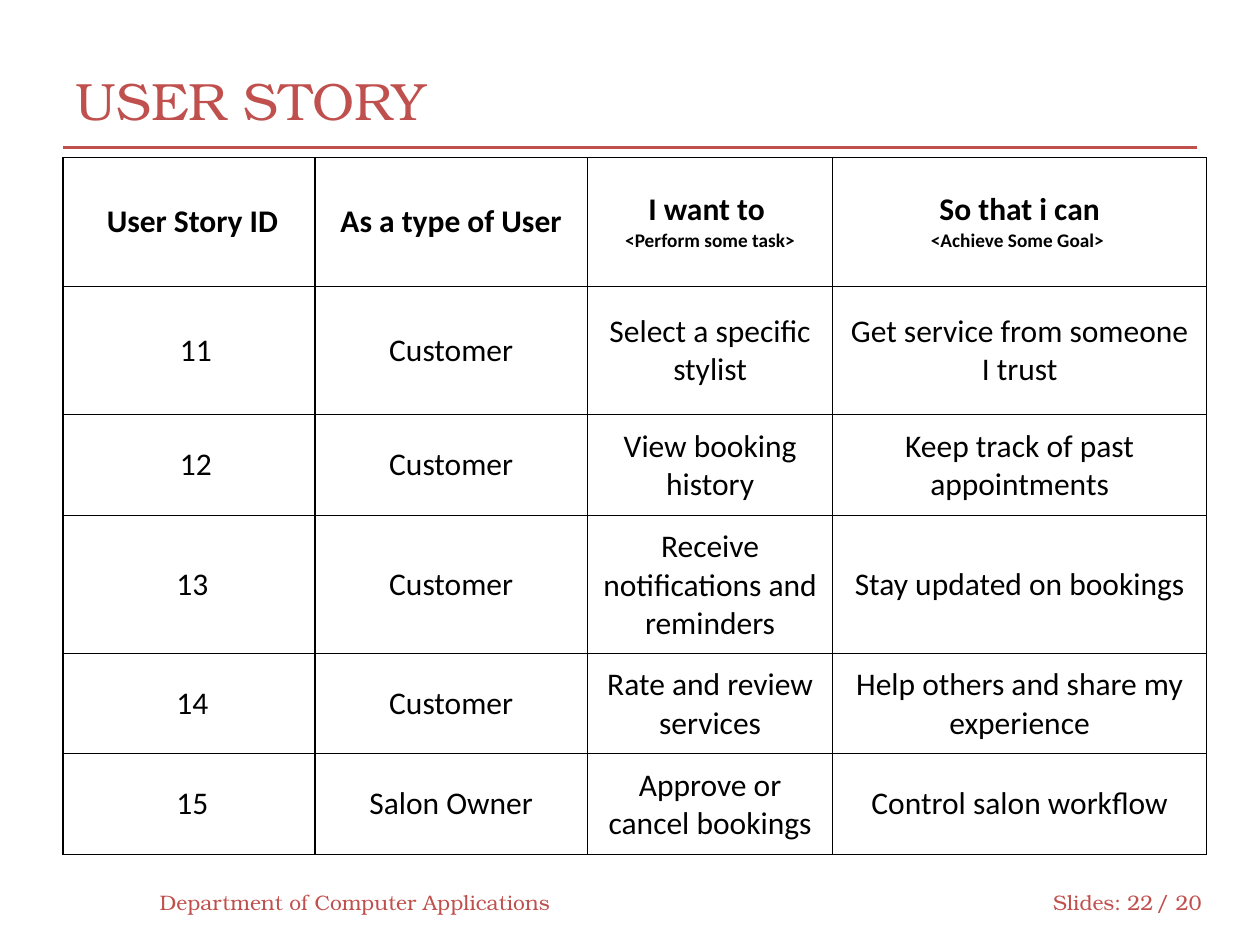
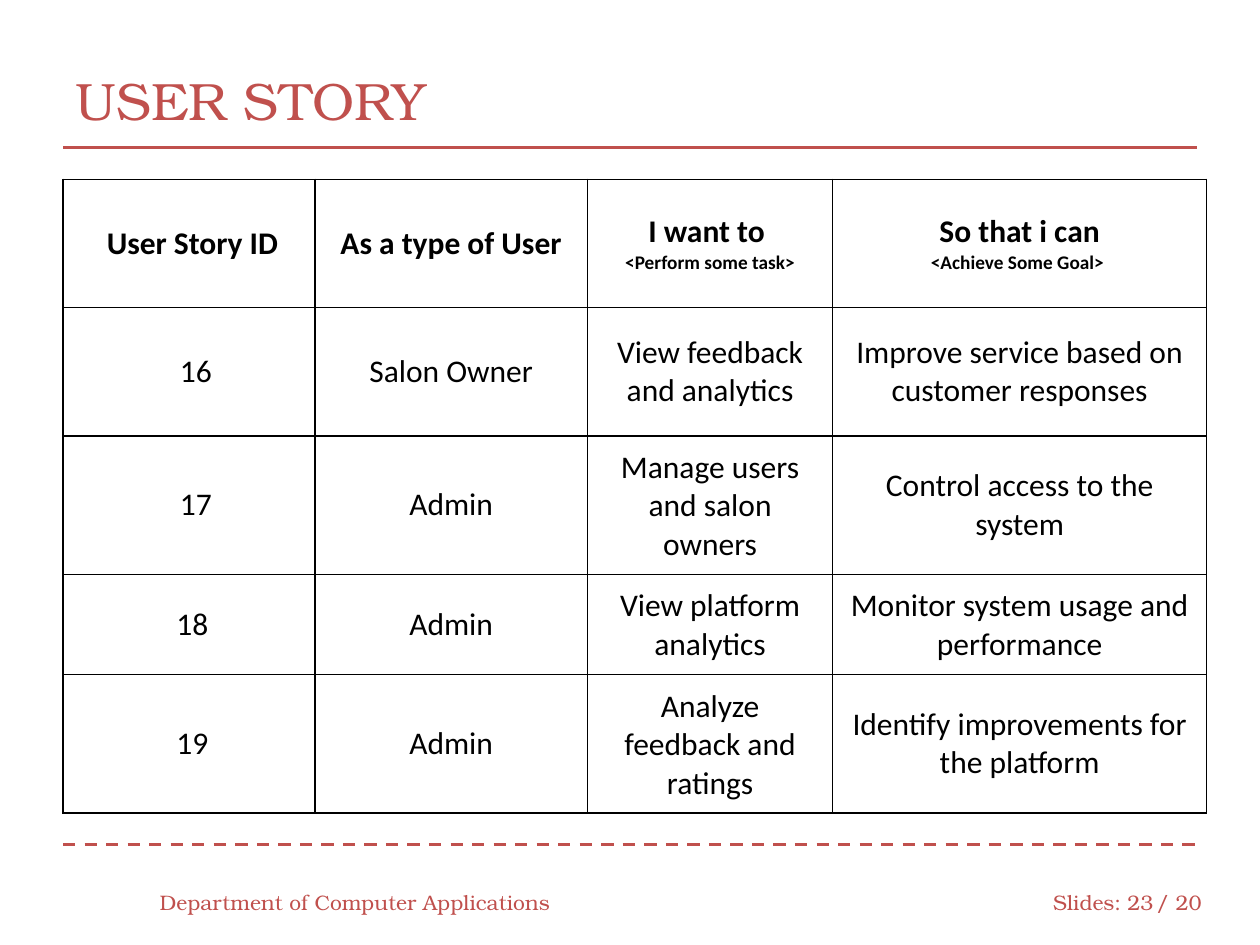
import pptx
import pptx.util
import pptx.oxml
import pptx.oxml.ns
import pptx.dml.color
import pptx.enum.dml
import pptx.enum.shapes
import pptx.enum.text

Cm = pptx.util.Cm
Pt = pptx.util.Pt
ALIGN = pptx.enum.text.PP_ALIGN
MIDDLE = pptx.enum.text.MSO_ANCHOR.MIDDLE
DASH = pptx.enum.dml.MSO_LINE.DASH

HUES = {"red": "C0504D", "black": "000000", "white": "FFFFFF"}
BRAND = "TeX Gyre Bonum"
STYLES = {
    "title": {"name": BRAND, "size": Pt(30), "bold": False},
    "foot": {"name": BRAND, "size": Pt(12), "bold": False},
    "head": {"name": "Calibri", "size": Pt(18), "bold": True},
    "hint": {"name": "Calibri", "size": Pt(11), "bold": True},
    "cell": {"name": "Calibri", "size": Pt(18), "bold": False},
}

LEFT, WIDTH = 1.27, 22.86
COLS = [5.08, 5.49, 4.95, 7.53]
TALL, SHORT = 2.59, 1.88
PAD = 0.25
SPACE = 0.14  # width of one blank at cell size, used to nudge the IDs
HEADS = [
    ["User Story ID"],
    ["As a type of User"],
    ["I want to ", "<Perform some task>"],
    ["So that i can", "<Achieve Some Goal> "],
]
PAGES = [
    {"page": 22, "top": 3.18, "first": 11, "tales": [
        ("Customer", "Select a specific stylist", "Get service from someone I trust"),
        ("Customer", "View booking history", "Keep track of past appointments"),
        ("Customer", "Receive notifications and reminders", "Stay updated on bookings"),
        ("Customer", "Rate and review services", "Help others and share my experience"),
        ("Salon Owner", "Approve or cancel bookings", "Control salon workflow"),
    ]},
    {"page": 23, "top": 3.61, "first": 16, "tales": [
        ("Salon Owner", "View feedback and analytics",
         "Improve service based on customer responses"),
        ("Admin", "Manage users and salon owners", "Control access to the system"),
        ("Admin", "View platform analytics", "Monitor system usage and performance"),
        ("Admin", "Analyze feedback and ratings", "Identify improvements for the platform"),
    ]},
]


def tint(hue):
    return pptx.dml.color.RGBColor.from_string(HUES[hue])


def set_all(item, values):
    for key, value in values.items():
        setattr(item, key, value)


def write(frame, lines, hue, align=ALIGN.LEFT):
    """Fill the frame with (text, style) lines, one paragraph each."""
    for i, (text, style) in enumerate(lines):
        para = frame.add_paragraph() if i else frame.paragraphs[0]
        para.alignment = align
        run = para.add_run()
        run.text = text
        set_all(run.font, STYLES[style])
        run.font.color.rgb = tint(hue)


def add_rule(slide, top, dash=None):
    rule = slide.shapes.add_connector(
        pptx.enum.shapes.MSO_CONNECTOR.STRAIGHT,
        Cm(LEFT), Cm(top), Cm(LEFT + WIDTH), Cm(top))
    rule.line.color.rgb = tint("red")
    rule.line.width = Pt(1.75)
    if dash:
        rule.line.dash_style = dash
    rule._element.spPr.append(pptx.oxml.parse_xml(
        f'<a:effectLst {pptx.oxml.ns.nsdecls("a")}/>'))


def add_title(slide, text, left, top, width, height):
    title = slide.shapes.title
    set_all(title, {"left": Cm(left), "top": Cm(top),
                    "width": Cm(width), "height": Cm(height)})
    set_all(title.text_frame, {"vertical_anchor": MIDDLE, "word_wrap": True})
    write(title.text_frame, [(text, "title")], "red")


def add_foot(slide, page, top):
    parts = [
        ("Department of Computer Applications", 2.97, 8.46, ALIGN.LEFT),
        ("Slides:", 20.98, 1.91, ALIGN.LEFT),
        (str(page), 22.43, 1.07, ALIGN.RIGHT),
        ("/ 20", 23.06, 1.47, ALIGN.LEFT),
    ]
    for text, left, width, align in parts:
        box = slide.shapes.add_textbox(Cm(left), Cm(top), Cm(width), Cm(1.02))
        set_all(box.text_frame, {"word_wrap": True, "vertical_anchor": MIDDLE})
        write(box.text_frame, [(text, "foot")], "red", align)


def add_edges(cell):
    props = cell._tc.get_or_add_tcPr()
    for side in "LRTB":
        props.append(pptx.oxml.parse_xml(
            f'<a:ln{side} {pptx.oxml.ns.nsdecls("a")} w="9525"><a:solidFill>'
            f'<a:srgbClr val="{HUES["black"]}"/></a:solidFill></a:ln{side}>'))


def fill_cell(cell, lines, nudge=0):
    set_all(cell, {"vertical_anchor": MIDDLE,
                   "margin_left": Cm(PAD + nudge * SPACE), "margin_right": Cm(PAD),
                   "margin_top": Cm(PAD), "margin_bottom": Cm(PAD)})
    add_edges(cell)
    cell.fill.solid()
    cell.fill.fore_color.rgb = tint("white")
    write(cell.text_frame, lines, "black", ALIGN.CENTER)


def add_tales(slide, tales, first, left, top):
    """Table of user stories, numbered on from first."""
    highs = [TALL, TALL] + [SHORT] * (len(tales) - 1)
    table = slide.shapes.add_table(
        len(highs), len(COLS), Cm(left), Cm(top), Cm(sum(COLS)), Cm(sum(highs))).table
    set_all(table, {"first_row": False, "horz_banding": False})
    for col, width in zip(table.columns, COLS):
        col.width = Cm(width)
    for row, high in zip(table.rows, highs):
        row.height = Cm(high)
    for c, texts in enumerate(HEADS):
        fill_cell(table.cell(0, c), list(zip(texts, ("head", "hint"))), int(c == 0))
    for r, tale in enumerate(tales, 1):
        for c, text in enumerate((str(first + r - 1), *tale)):
            nudge = 0 if c else 2 if r < 3 else 1
            fill_cell(table.cell(r, c), [(text, "cell")], nudge)


def add_page(deck, page, top, first, tales):
    slide = deck.slides.add_slide(deck.slide_layouts[5])
    add_rule(slide, 17.02, DASH)
    add_rule(slide, 2.97)
    add_title(slide, "USER STORY", LEFT, 0.84, WIDTH, 2.34)
    add_foot(slide, page, 17.68)
    add_tales(slide, tales, first, LEFT, top)


def main():
    deck = pptx.Presentation()
    set_all(deck, {"slide_width": Cm(25.4), "slide_height": Cm(19.05)})
    for page in PAGES:
        add_page(deck, **page)
    deck.save("out.pptx")


if __name__ == "__main__":
    main()
